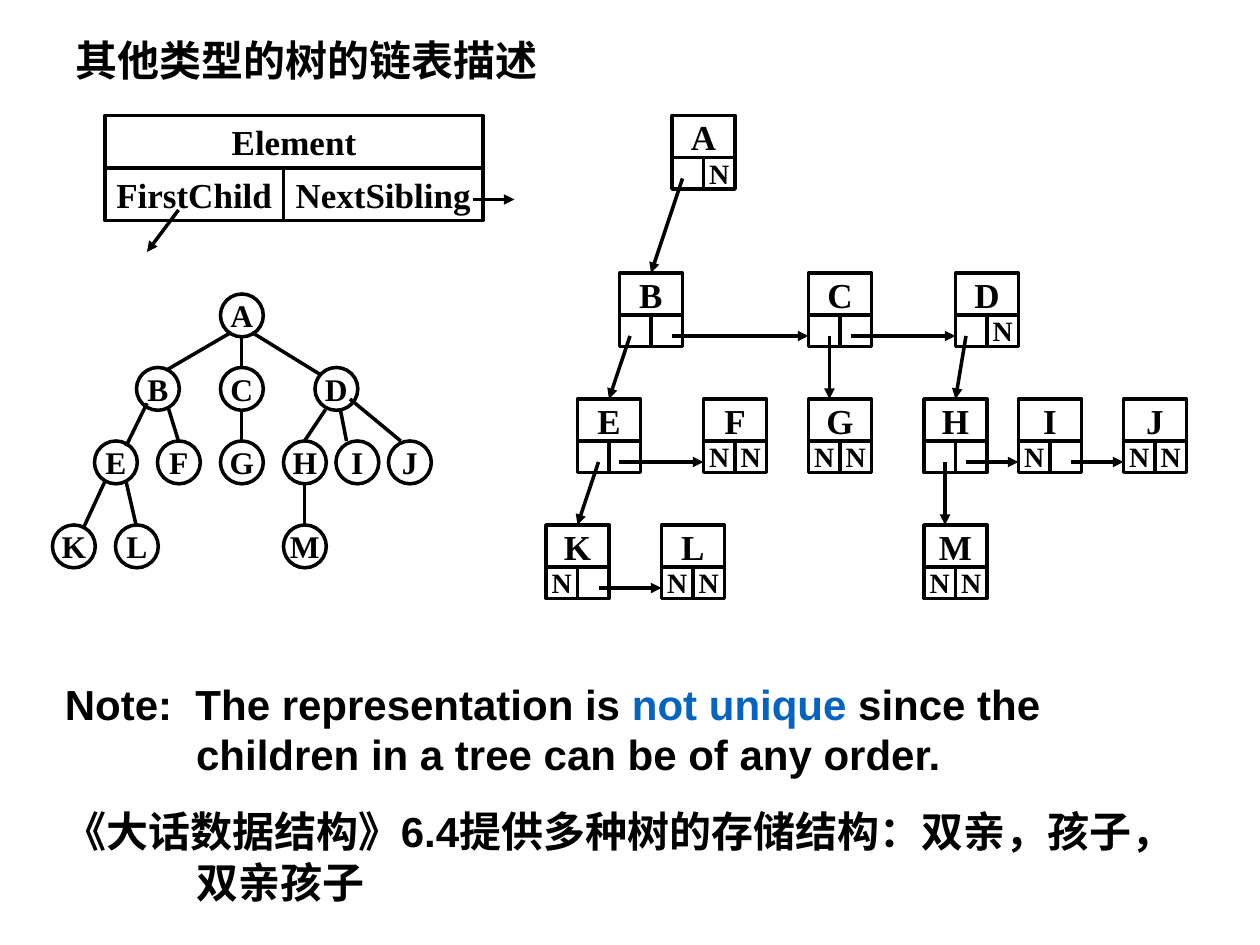
from lxml.etree import SubElement
from pptx import Presentation
from pptx.dml.color import RGBColor
from pptx.enum.shapes import MSO_CONNECTOR, MSO_SHAPE
from pptx.enum.text import MSO_ANCHOR, MSO_AUTO_SIZE, PP_ALIGN
from pptx.oxml.ns import qn
from pptx.util import Pt

COLORS = {"ink": "000000", "accent": "0563C1"}
SERIF, SANS = "Times New Roman", "Arial"

CIRCLE = 24.5
TREE_NODES = {
    0: {"A": 96},
    42: {"B": 48, "C": 96, "D": 150},
    84: {"E": 24, "F": 60, "G": 96, "H": 132, "I": 162, "J": 192},
    132: {"K": 0, "L": 36, "M": 132},
}
TREE_EDGES = [
    (108, 24, 108, 42), (108, 66, 108, 84), (144, 108, 144, 132),
    (102, 22, 66, 43), (114, 22, 153, 46), (54, 62.5, 42, 87),
    (66, 64.5, 72, 84), (30, 107, 18, 133), (42, 107, 48, 133),
    (156, 66, 144, 84), (164.5, 66, 168, 84), (170, 60, 199, 84),
]

NODE_WIDTH, HEAD_HEIGHT, CELL = 36, 24, 18
POINTER_DROP = 36
LIST_NODES = {
    0: {"A": 72},
    90: {"B": 42, "C": 150, "D": 234},
    162: {"E": 18, "F": 90, "G": 150, "H": 216, "I": 270, "J": 330},
    234: {"K": 0, "L": 66, "M": 216},
}
FIRST_CHILD = {"A": ("B", 6), "B": ("E", 6), "E": ("K", 12),
               "C": ("G", 12), "D": ("H", 6), "H": ("M", 12)}
NEXT_SIBLING = {"B": ("C", 30), "E": ("F", 24), "K": ("L", 30),
                "C": ("D", 24), "H": ("I", 24), "I": ("J", 30)}


def rgb(name):
    return RGBColor.from_string(COLORS[name])


def apply_format(target, values):
    for name, value in values.items():
        setattr(target, name, value)


def add_run(paragraph, text, size, font, color="ink"):
    run = paragraph.add_run()
    run.text = text
    apply_format(run.font, {"size": Pt(size), "name": font, "bold": True})
    run.font.color.rgb = rgb(color)


def outline(line):
    line.color.rgb = rgb("ink")
    line.width = Pt(2)


def add_cell(shapes, kind, left, top, width, height, label="", size=20):
    cell = shapes.add_shape(kind, Pt(left), Pt(top), Pt(width), Pt(height))
    cell.shadow.inherit = False
    cell.fill.background()
    outline(cell.line)
    if label:
        apply_format(cell.text_frame, {"word_wrap": False, "vertical_anchor": MSO_ANCHOR.MIDDLE})
        paragraph = cell.text_frame.paragraphs[0]
        paragraph.alignment = PP_ALIGN.CENTER
        add_run(paragraph, label, size, SERIF)
    return cell


def add_link(shapes, x1, y1, x2, y2, arrow=False):
    link = shapes.add_connector(MSO_CONNECTOR.STRAIGHT, Pt(x1), Pt(y1), Pt(x2), Pt(y2))
    outline(link.line)
    properties = link.element.spPr
    if arrow:
        SubElement(properties.find(qn("a:ln")), qn("a:tailEnd"), type="triangle")
    SubElement(properties, qn("a:effectLst"))
    return link


def add_text(slide, left, top, width, height, runs, font, hanging=0):
    box = slide.shapes.add_textbox(Pt(left), Pt(top), Pt(width), Pt(height))
    apply_format(box.text_frame, {"word_wrap": True, "auto_size": MSO_AUTO_SIZE.SHAPE_TO_FIT_TEXT})
    paragraph = box.text_frame.paragraphs[0]
    for text, color in runs:
        add_run(paragraph, text, 24, font, color)
    if hanging:
        indents = paragraph._p.get_or_add_pPr()
        indents.set("marL", str(Pt(hanging)))
        indents.set("indent", str(-Pt(hanging)))


def add_record_layout(slide, left, top, width, row):
    shapes = slide.shapes.add_group_shape().shapes
    child_width = 102
    lower = top + row
    middle = left + child_width
    add_cell(shapes, MSO_SHAPE.RECTANGLE, left, lower, child_width, row, "FirstChild")
    add_cell(shapes, MSO_SHAPE.RECTANGLE, middle, lower, width - child_width, row, "NextSibling")
    add_cell(shapes, MSO_SHAPE.RECTANGLE, left, top, width, row, "Element")
    add_link(shapes, left + 42, lower + 24, left + 24, lower + 48, arrow=True)
    add_link(shapes, left + width - 6, lower + 18, left + width + 18, lower + 18, arrow=True)


def add_tree(slide, left, top):
    shapes = slide.shapes.add_group_shape().shapes
    for y, level in TREE_NODES.items():
        for name, x in level.items():
            add_cell(shapes, MSO_SHAPE.OVAL, left + x, top + y, CIRCLE, CIRCLE, name, 18)
    for x1, y1, x2, y2 in TREE_EDGES:
        add_link(shapes, left + x1, top + y1, left + x2, top + y2)


def add_list_node(shapes, left, top, name):
    for column, pointers in enumerate((FIRST_CHILD, NEXT_SIBLING)):
        label = "" if name in pointers else "N"
        add_cell(shapes, MSO_SHAPE.RECTANGLE, left + column * CELL, top + HEAD_HEIGHT,
                 CELL, CELL, label, 16)
    return add_cell(shapes, MSO_SHAPE.RECTANGLE, left, top, NODE_WIDTH, HEAD_HEIGHT, name)


def add_linked_list(slide, left, top):
    shapes = slide.shapes.add_group_shape().shapes
    corners, heads = {}, {}
    for y, level in LIST_NODES.items():
        for name, x in level.items():
            corners[name] = left + x, top + y
            heads[name] = add_list_node(shapes, left + x, top + y, name)
    for parent, (child, offset) in FIRST_CHILD.items():
        x, y = corners[parent]
        child_x, child_y = corners[child]
        vertical = x == child_x
        end_x = x + offset if vertical else child_x + NODE_WIDTH / 2
        pointer = add_link(shapes, x + offset, y + POINTER_DROP, end_x, child_y, arrow=True)
        if not vertical:
            pointer.end_connect(heads[child], 0)
    for node, (sibling, offset) in NEXT_SIBLING.items():
        x, y = corners[node]
        level = y + POINTER_DROP
        add_link(shapes, x + offset, level, corners[sibling][0], level, arrow=True)


def main():
    deck = Presentation()
    apply_format(deck, {"slide_width": Pt(720), "slide_height": Pt(540)})
    slide = deck.slides.add_slide(deck.slide_layouts[6])
    add_text(slide, 36, 16, 396, 36, [("其他类型的树的链表描述", "ink")], SERIF)
    add_record_layout(slide, 60, 66, 216, 30)
    add_tree(slide, 30, 168)
    add_linked_list(slide, 312, 66)
    note = [("Note:  The representation is ", "ink"), ("not unique", "accent"),
            (" since the children in a tree can be of any order.", "ink")]
    add_text(slide, 30, 384, 624, 65, note, SANS, hanging=75)
    reference = [("《大话数据结构》6.4提供多种树的存储结构：双亲，孩子，双亲孩子", "ink")]
    add_text(slide, 30, 457, 624, 65, reference, SANS, hanging=75)
    deck.save("out.pptx")


if __name__ == "__main__":
    main()
